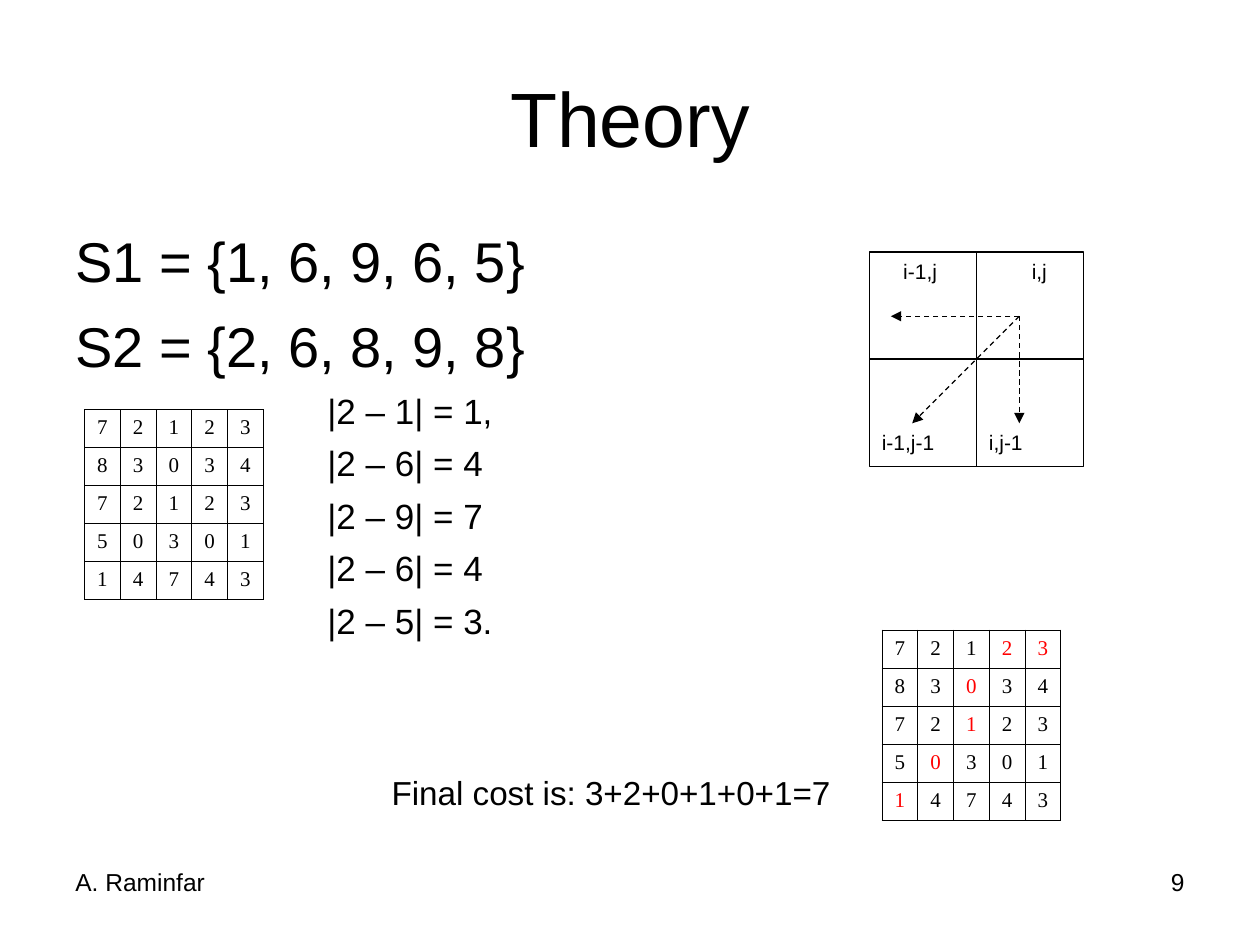
import pptx
import pptx.dml.color
import pptx.enum.dml
import pptx.enum.shapes
import pptx.enum.text
import pptx.oxml
import pptx.oxml.ns
import pptx.util
from pptx.util import Inches

COLORS = {"ink": "000000", "paper": "FFFFFF", "path": "FF0000"}
ALIGN = pptx.enum.text.PP_ALIGN
ANCHOR = pptx.enum.text.MSO_ANCHOR


def rgb(name):
    return pptx.dml.color.RGBColor.from_string(COLORS[name])


def add_text(shapes, box, lines, size, align=ALIGN.LEFT, anchor=ANCHOR.TOP, wrap=True):
    """Add a text box at box (left, top, width, height) and return its text frame."""
    text_frame = shapes.add_textbox(*[Inches(value) for value in box]).text_frame
    text_frame.text = lines
    text_frame.word_wrap = wrap
    text_frame.vertical_anchor = anchor
    for paragraph in text_frame.paragraphs:
        paragraph.alignment = align
        paragraph.font.name = "Arial"
        paragraph.font.size = pptx.util.Pt(size)
        paragraph.font.color.rgb = rgb("ink")
    return text_frame


presentation = pptx.Presentation()
presentation.slide_width = Inches(10)
presentation.slide_height = Inches(7.5)
slide = presentation.slides.add_slide(presentation.slide_layouts[6])

add_text(slide.shapes, (0.5, 0.3, 9, 1.25), "Theory", 44, ALIGN.CENTER, ANCHOR.MIDDLE)

# Sequences, then the indented differences
body = add_text(
    slide.shapes,
    (0.5, 1.75, 9, 4.95),
    "S1 = {1, 6, 9, 6, 5}\nS2 = {2, 6, 8, 9, 8}\n"
    "|2 – 1| = 1,\n|2 – 6| = 4\n|2 – 9| = 7\n|2 – 6| = 4\n|2 – 5| = 3.",
    32,
)
body.paragraphs[1].space_before = pptx.util.Pt(10)
for paragraph in body.paragraphs[2:]:
    paragraph.level = 4
    paragraph.space_before = pptx.util.Pt(6)
    paragraph.font.size = pptx.util.Pt(20)
    properties = paragraph._p.get_or_add_pPr()
    properties.set("marL", str(Inches(2.25)))
    properties.set("indent", str(Inches(-0.25)))

# Cost matrices: plain, and with the cheapest path marked
costs = ["72123", "83034", "72123", "50301", "14743"]
cheapest_path = {(0, 3), (0, 4), (1, 2), (2, 2), (3, 1), (4, 0)}
for left, top, marked in [(0.67, 3.25, set()), (7, 5, cheapest_path)]:
    table = slide.shapes.add_table(
        5, 5, Inches(left), Inches(top), Inches(1.42), Inches(1.51)
    ).table
    table.first_row = False
    table.horz_banding = False
    for row, digits in enumerate(costs):
        for column, digit in enumerate(digits):
            cell = table.cell(row, column)
            cell.text = digit
            font = cell.text_frame.paragraphs[0].runs[0].font
            font.name = "Times New Roman"
            font.size = pptx.util.Pt(12)
            font.color.rgb = rgb("path" if (row, column) in marked else "ink")
            cell_properties = cell._tc.get_or_add_tcPr()
            for side in ("lnL", "lnR", "lnT", "lnB"):
                cell_properties.append(pptx.oxml.parse_xml(
                    f'<a:{side} {pptx.oxml.ns.nsdecls("a")} w="{pptx.util.Pt(0.45)}">'
                    f'<a:solidFill><a:srgbClr val="{COLORS["ink"]}"/></a:solidFill></a:{side}>'
                ))
            cell.fill.background()

# Step diagram
diagram = slide.shapes.add_group_shape().shapes
side = 0.85
for top in (2, 2 + side):
    for left in (6.9, 6.9 + side):
        square = diagram.add_shape(
            pptx.enum.shapes.MSO_SHAPE.RECTANGLE,
            Inches(left), Inches(top), Inches(side), Inches(side),
        )
        square.shadow.inherit = False
        square.fill.solid()
        square.fill.fore_color.rgb = rgb("paper")
        square.line.color.rgb = rgb("ink")
        square.line.width = pptx.util.Pt(0.75)

for end_x, end_y in [(7.07, 2.51), (7.24, 3.36), (8.09, 3.36)]:
    arrow = diagram.add_connector(
        pptx.enum.shapes.MSO_CONNECTOR.STRAIGHT,
        Inches(8.09), Inches(2.51), Inches(end_x), Inches(end_y),
    )
    arrow.line.color.rgb = rgb("ink")
    arrow.line.width = pptx.util.Pt(0.75)
    arrow.line.dash_style = pptx.enum.dml.MSO_LINE.DASH
    namespace = pptx.oxml.ns.nsdecls("a")
    arrow.line._get_or_add_ln().append(
        pptx.oxml.parse_xml(f'<a:tailEnd {namespace} type="triangle"/>')
    )
    arrow._element.spPr.append(pptx.oxml.parse_xml(f"<a:effectLst {namespace}/>"))

for label, left, top, width in [
    ("i,j", 8.09, 2, 0.51),
    ("i-1,j", 7.07, 2, 0.68),
    ("i-1,j-1", 6.9, 3.36, 0.85),
    ("i,j-1", 7.75, 3.36, 0.85),
]:
    add_text(diagram, (left, top, width, 0.51), label, 12)

add_text(slide.shapes, (3.01, 6.08, 3.76, 0.42), "Final cost is: 3+2+0+1+0+1=7", 19,
         anchor=ANCHOR.MIDDLE, wrap=False)
add_text(slide.shapes, (7.17, 6.83, 2.33, 0.52), "9", 14, ALIGN.RIGHT)
add_text(slide.shapes, (0.5, 6.83, 2.33, 0.52), "A. Raminfar", 14)

presentation.save("out.pptx")
